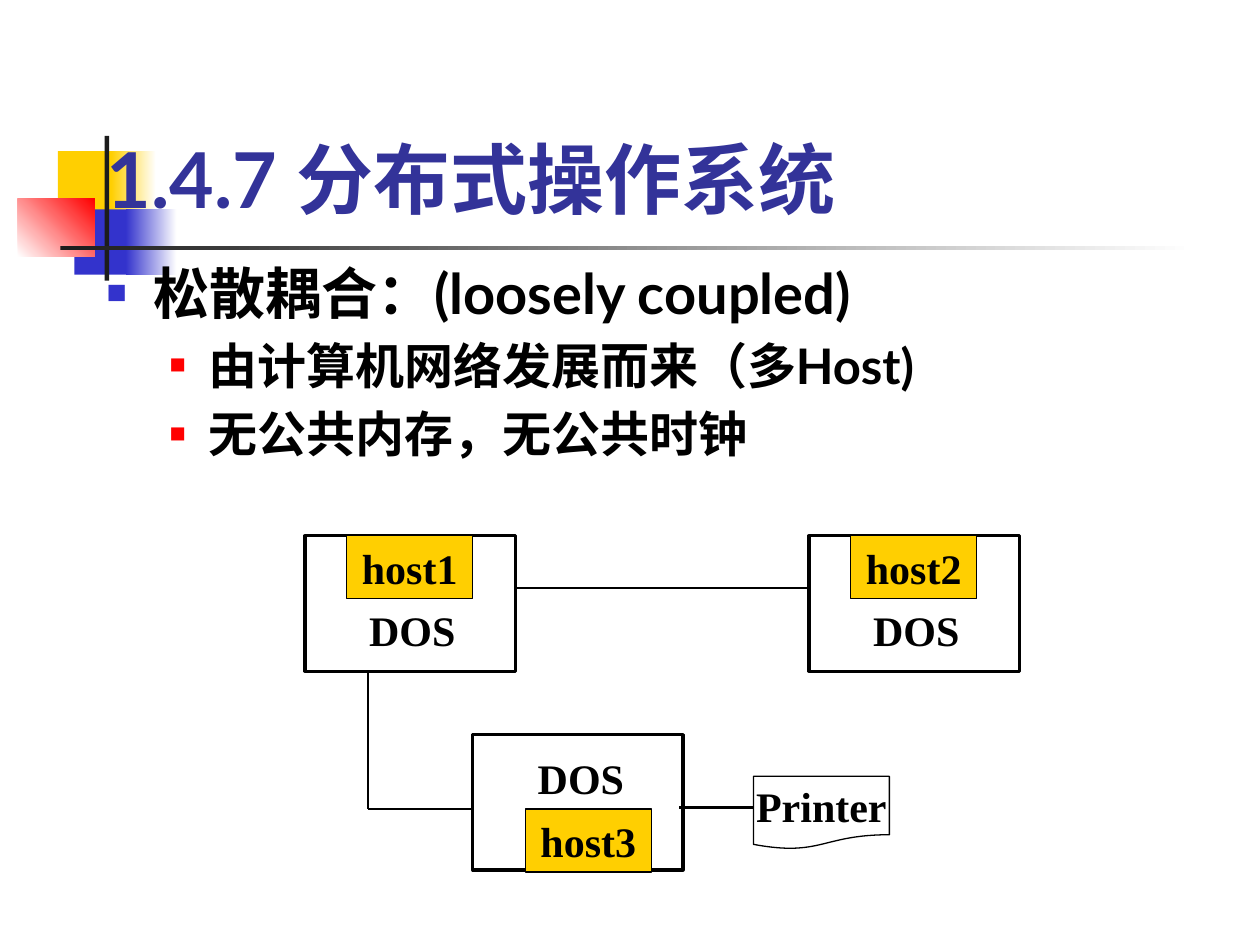
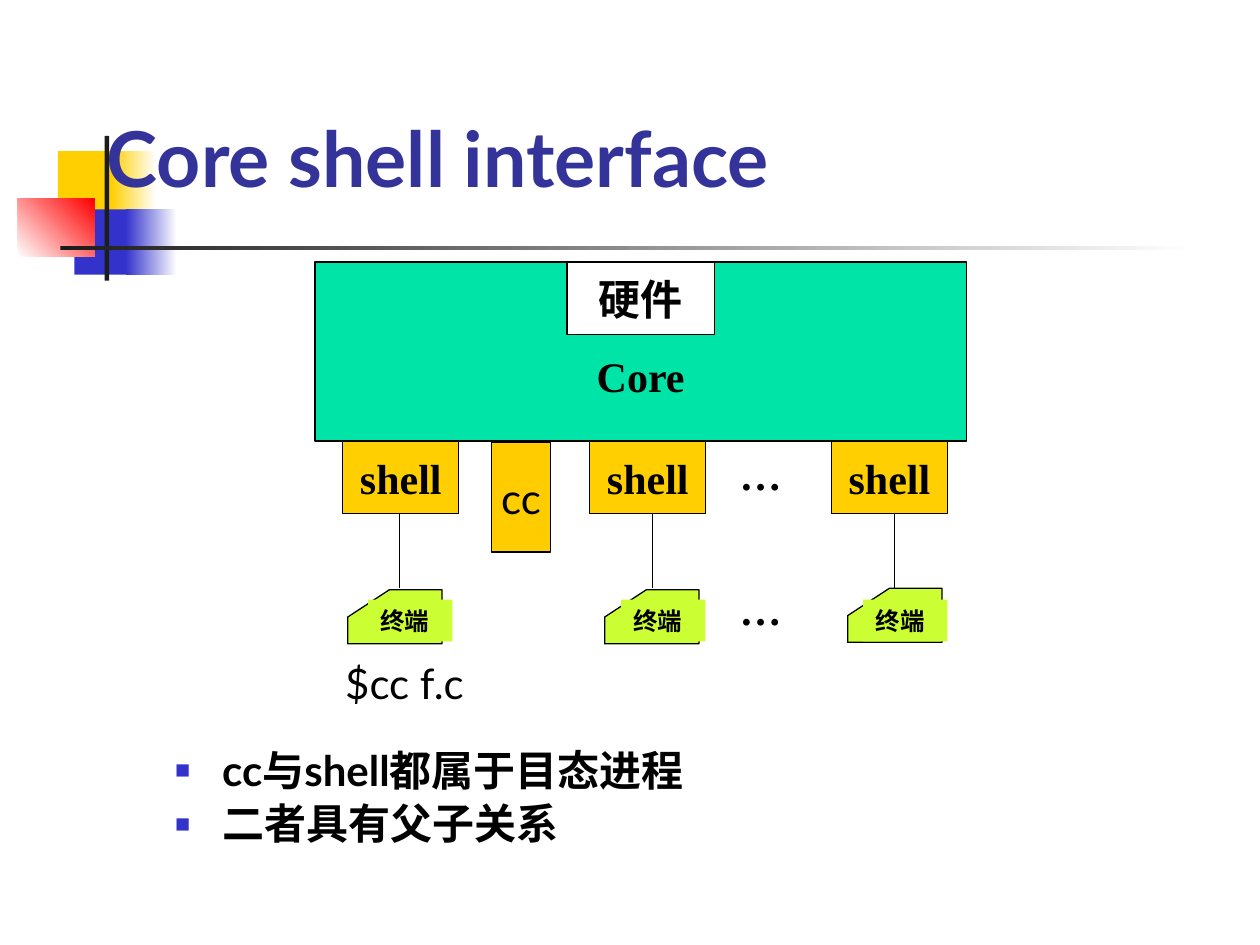
import pptx
import pptx.util
import pptx.dml.color
import pptx.enum.shapes
import pptx.enum.text
import pptx.oxml.ns
import lxml.etree

Cm = pptx.util.Cm
Pt = pptx.util.Pt
SHAPE = pptx.enum.shapes.MSO_SHAPE
ALIGN = pptx.enum.text.PP_ALIGN
ANCHOR = pptx.enum.text.MSO_ANCHOR
qn = pptx.oxml.ns.qn

HUES = {
    "gold": "FFCF01", "amber": "FFCC00", "blue": "3333CC", "navy": "333399",
    "red": "FF0000", "ink": "1C1C1C", "black": "000000", "white": "FFFFFF",
    "green": "00E4A8", "lime": "CCFF33",
}
SANS, SERIF = "Lato", "Times New Roman"

# Corner band: left, top, width, height, colours, angle
BAND = [
    (1.17, 3.05, 1.22, 1.32, ["gold"], 0),
    (2.24, 3.05, 0.91, 1.32, ["gold", "white"], 0),
    (1.5, 4.22, 1.17, 1.32, ["blue"], 0),
    (2.54, 4.22, 1.02, 1.32, ["blue", "white"], 0),
    (0.36, 4.01, 1.55, 1.17, ["white", "red"], 45),
    (2.11, 2.74, 0.09, 2.92, ["ink"], 0),
    (1.22, 4.95, 22.86, 0.09, ["ink", "white"], 0),
]


def hue(name):
    return pptx.dml.color.RGBColor.from_string(HUES[name])


def add_mark(para, color, size, left, hang):
    """Give a paragraph a square bullet with a hanging indent (cm)."""
    props = para._p.get_or_add_pPr()
    props.set("marL", str(Cm(left)))
    props.set("indent", str(-Cm(hang)))
    tint = lxml.etree.SubElement(props, qn("a:buClr"))
    lxml.etree.SubElement(tint, qn("a:srgbClr"), val=HUES[color])
    lxml.etree.SubElement(props, qn("a:buSzPct"), val=str(size * 1000))
    lxml.etree.SubElement(props, qn("a:buFont"), typeface="Arial")
    lxml.etree.SubElement(props, qn("a:buChar"), char="■")


def write(para, text, size=24, font=SERIF, color="black", bold=True,
          align=ALIGN.LEFT, mark=None, before=0, lines=None):
    """Put formatted text into a paragraph."""
    if mark:
        add_mark(para, *mark)
    para.alignment = align
    para.space_before = Pt(before)
    if lines:
        para.line_spacing = lines
    run = para.add_run()
    run.text = text
    run.font.size = Pt(size)
    run.font.name = font
    run.font.bold = bold
    run.font.color.rgb = hue(color)


class Deck:
    """Holds the shared style and the slide being drawn."""

    def __init__(self):
        self.show = pptx.Presentation()
        self.show.slide_width, self.show.slide_height = Cm(25.4), Cm(19.05)
        self.slide = None

    def start(self, title, height):
        layout = self.show.slide_layouts[5]
        self.slide = self.show.slides.add_slide(layout)
        for x, y, wide, high, tints, angle in BAND:
            self.box(x, y, wide, high, tints, angle=angle)
        head = self.slide.shapes.title
        head.left, head.top = Cm(1.9), Cm(1.47)
        head.width, head.height = Cm(21.6), Cm(height)
        frame = head.text_frame
        frame.auto_size = pptx.enum.text.MSO_AUTO_SIZE.NONE
        frame.vertical_anchor = ANCHOR.BOTTOM
        write(frame.paragraphs[0], title, size=44, font=SANS, color="navy")
        # The title stands in front of the band
        head._element.getparent().append(head._element)

    def paint(self, shape, tints, line=0, angle=0):
        shape.shadow.inherit = False
        if len(tints) > 1:
            shape.fill.gradient()
            shape.fill.gradient_angle = angle
            for stop, tint in zip(shape.fill.gradient_stops, tints):
                stop.color.rgb = hue(tint)
        else:
            shape.fill.solid()
            shape.fill.fore_color.rgb = hue(tints[0])
        if line:
            shape.line.color.rgb = hue("black")
            shape.line.width = Pt(line)
        else:
            shape.line.fill.background()

    def box(self, x, y, wide, high, tints, line=0, angle=0, kind=SHAPE.RECTANGLE):
        shape = self.slide.shapes.add_shape(kind, Cm(x), Cm(y), Cm(wide), Cm(high))
        self.paint(shape, tints, line, angle)
        return shape

    def tag(self, text, x, y, wide, high, tint="gold", top=0.13,
            kind=SHAPE.RECTANGLE, **style):
        """Outlined box with centred text."""
        shape = self.box(x, y, wide, high, [tint], 0.75, kind=kind)
        frame = shape.text_frame
        frame.word_wrap = False
        frame.margin_top = Cm(top)
        frame.vertical_anchor = ANCHOR.MIDDLE
        write(frame.paragraphs[0], text, align=ALIGN.CENTER, **style)

    def label(self, text, x, y, wide, high, tint="white", **style):
        """Filled box without outline, text at top left."""
        frame = self.box(x, y, wide, high, [tint]).text_frame
        frame.word_wrap = True
        frame.vertical_anchor = ANCHOR.TOP
        write(frame.paragraphs[0], text, **style)

    def body(self, x, y, wide, high, items):
        """Text box with one paragraph per (text, format) item."""
        area = self.slide.shapes.add_textbox(Cm(x), Cm(y), Cm(wide), Cm(high))
        frame = area.text_frame
        frame.word_wrap = True
        for i, (text, style) in enumerate(items):
            para = frame.add_paragraph() if i else frame.paragraphs[0]
            write(para, text, font=SANS, **style)

    def wire(self, x1, y1, x2, y2, width=0.75):
        line = self.slide.shapes.add_connector(
            pptx.enum.shapes.MSO_CONNECTOR.STRAIGHT, Cm(x1), Cm(y1), Cm(x2), Cm(y2))
        line.line.color.rgb = hue("black")
        line.line.width = Pt(width)
        lxml.etree.SubElement(line._element.spPr, qn("a:effectLst"))

    def card(self, x, y, wide=1.9, high=1.09):
        """Card outline with its top left corner cut."""
        cut_x, cut_y = x + 0.84, y + 0.55
        points = [(x + wide, y), (x + wide, y + high), (x, y + high), (x, cut_y)]
        form = self.slide.shapes.build_freeform(Cm(cut_x), Cm(y))
        form.add_line_segments([(Cm(a), Cm(b)) for a, b in points], close=True)
        self.paint(form.convert_to_shape(), ["lime"], 0.75)

    def host(self, name, x, y, dos, tag):
        """Host frame; dos and tag are offsets of its two parts."""
        self.box(x, y, 4.24, 2.73, ["white"], 1.75)
        self.label("DOS", x + dos[0], y + dos[1], 2.34, 1.27)
        self.tag(name, x + tag[0], y + tag[1], 2.54, 1.27)


def draw_hosts(deck):
    deck.start("1.4.7 分布式操作系统", 3.18)
    sub = dict(size=28, mark=("red", 55, 2.06, 0.79), before=5.6)
    deck.body(1.9, 5.08, 21.6, 4.65, [
        ("松散耦合：(loosely coupled)", dict(size=32, mark=("blue", 60, 0.95, 0.95))),
        ("由计算机网络发展而来（多Host)", sub),
        ("无公共内存，无公共时钟", sub),
    ])
    # Network of hosts
    deck.host("host3", 9.53, 14.81, dos=(1.06, 0.23), tag=(1.06, 1.5))
    deck.wire(7.42, 13.34, 7.42, 16.31, 1.25)
    deck.wire(7.42, 16.31, 9.53, 16.31)
    deck.wire(10.36, 11.86, 16.31, 11.86, 1.25)
    for name, x in (("host2", 16.31), ("host1", 6.15)):
        deck.host(name, x, 10.8, dos=(1.04, 1.27), tag=(0.84, 0))
    # Printer
    deck.tag("Printer", 15.19, 15.65, 2.74, 1.47, "white",
             kind=SHAPE.FLOWCHART_DOCUMENT)
    deck.wire(13.69, 16.28, 15.19, 16.28, 1.75)


def draw_shell(deck):
    deck.start("Core shell interface", 2.74)
    # System and hardware
    deck.tag("Core", 6.35, 5.28, 13.13, 3.61, "green", top=1.1)
    deck.tag("硬件", 11.43, 5.28, 2.97, 1.47, "white")
    # Shells with their terminals: left of shell, card, wire, label; card top
    for shell, card, wire, label, top in (
            (6.91, 7.01, 8.05, 7.42, 11.89),
            (11.89, 12.19, 13.16, 12.52, 11.89),
            (16.76, 17.09, 18.03, 17.4, 11.86)):
        deck.tag("shell", shell, 8.89, 2.34, 1.47)
        deck.card(card, top)
        deck.wire(wire, 10.36, wire, 11.86)
        deck.label("终端", label, 12.09, 1.7, 0.84, "lime", size=14)
    for y in (8.92, 11.63):
        deck.label("…", 14.66, y, 1.5, 1.27)
    # Compiler and its command
    deck.tag("cc", 9.91, 8.92, 1.19, 2.21, "amber", font=SANS, bold=False)
    deck.body(6.71, 13.13, 3.2, 1.27, [("$cc f.c", dict(bold=False))])
    # Notes
    note = dict(mark=("blue", 60, 0.95, 0.95), lines=0.9)
    deck.body(3.28, 14.99, 21.6, 2.74, [
        ("cc与shell都属于目态进程", note),
        ("二者具有父子关系", dict(note, before=4.8)),
    ])


def main():
    deck = Deck()
    draw_hosts(deck)
    draw_shell(deck)
    deck.show.save("out.pptx")


if __name__ == "__main__":
    main()
